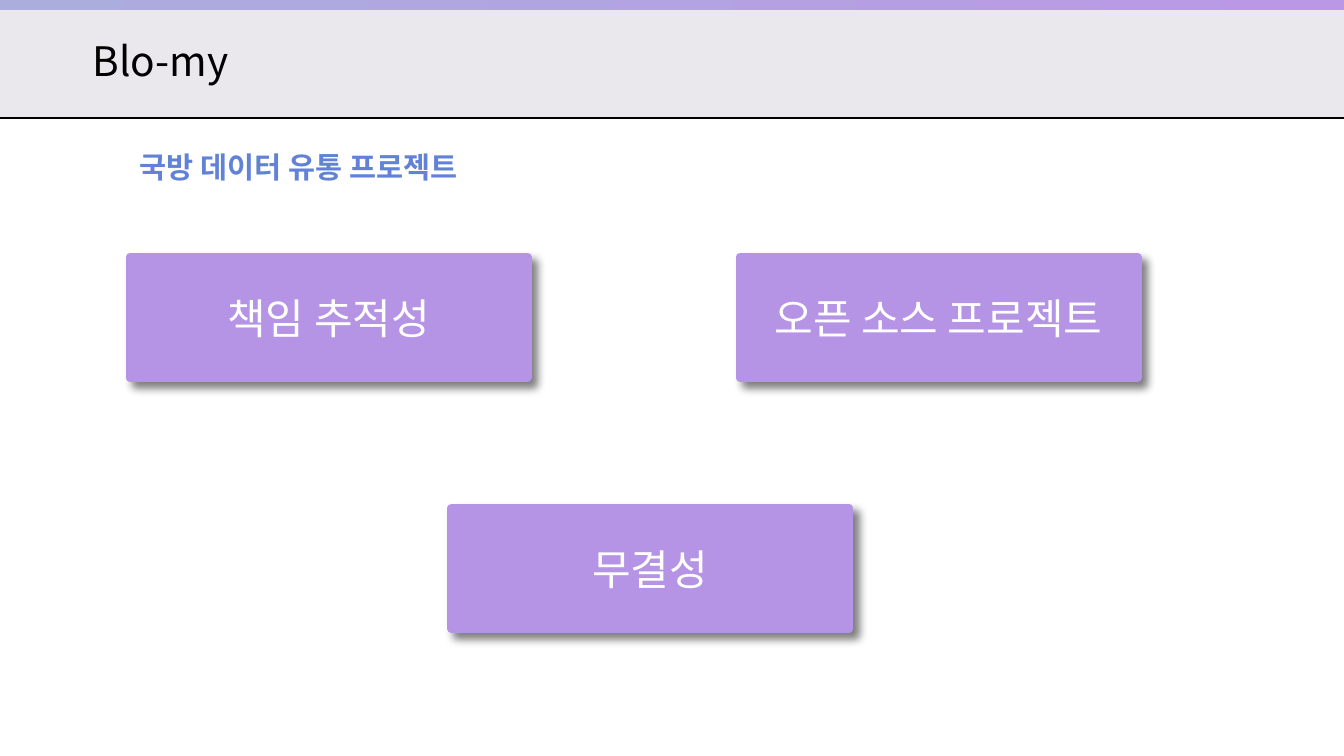
from dataclasses import dataclass

from lxml import etree
from pptx import Presentation
from pptx.dml.color import RGBColor
from pptx.enum.shapes import MSO_CONNECTOR, MSO_SHAPE
from pptx.enum.text import MSO_ANCHOR, PP_ALIGN
from pptx.oxml.ns import qn
from pptx.util import Inches, Pt

RECT, ROUNDED = MSO_SHAPE.RECTANGLE, MSO_SHAPE.ROUNDED_RECTANGLE
STRAIGHT = MSO_CONNECTOR.STRAIGHT
TOP, MIDDLE = MSO_ANCHOR.TOP, MSO_ANCHOR.MIDDLE
LEFT, CENTER = PP_ALIGN.LEFT, PP_ALIGN.CENTER

# Content: each feature has its left edge and its row
TITLE = "Blo-my"
SUBTITLE = "국방 데이터 유통 프로젝트"
FEATURES = [
    ("책임 추적성", 1.29, 0),
    ("무결성", 4.48, 1),
    ("오픈 소스 프로젝트", 7.34, 0),
]


@dataclass(frozen=True)
class Theme:
    band: str = "EAE7ED"
    stripe: tuple = ("ABADDD", "BB98E6")
    card: str = "B594E5"
    accent: str = "6182D6"
    black: str = "000000"
    white: str = "FFFFFF"
    title_font: str = "Noto Sans CJK KR"
    subtitle_font: str = "Calibri"
    card_font: str = "Montserrat"
    korean_font: str = "Noto Sans CJK KR"
    title_size: int = 29
    subtitle_size: int = 21
    card_size: int = 30


THEME = Theme()

# Layout in inches
SLIDE_W, SLIDE_H = 13.33, 7.5
BAND_H, STRIPE_H = 1.17, 0.1
CARD_W, CARD_H = 3.94, 1.2
FIRST_ROW, ROW_STEP = 2.55, 2.49


def add_block(slide, kind, left, top, width, height, color, line_width=None):
    block = slide.shapes.add_shape(
        kind, Inches(left), Inches(top), Inches(width), Inches(height))
    block.shadow.inherit = False
    block.fill.solid()
    block.fill.fore_color.rgb = RGBColor.from_string(color)
    if line_width:
        block.line.color.rgb = RGBColor.from_string(color)
        block.line.width = Pt(line_width)
    else:
        block.line.fill.background()
    return block


def write(shape, text, font, size, color, bold=False, align=LEFT, anchor=TOP):
    frame = shape.text_frame
    frame.word_wrap = True
    frame.vertical_anchor = anchor
    frame.text = text
    paragraph = frame.paragraphs[0]
    paragraph.alignment = align
    run = paragraph.runs[0]
    run.font.name = font
    run.font.size = Pt(size)
    run.font.bold = bold
    run.font.color.rgb = RGBColor.from_string(color)
    etree.SubElement(run.font._element, qn("a:ea"), typeface=THEME.korean_font)


def add_label(slide, left, top, width, height, *text_style, bold=False):
    label = slide.shapes.add_textbox(
        Inches(left), Inches(top), Inches(width), Inches(height))
    write(label, *text_style, bold=bold)


def add_card_shadow(card):
    effects = card._element.spPr.find(qn("a:effectLst"))
    shadow = etree.SubElement(
        effects, qn("a:outerShdw"), blurRad=str(Pt(6)), dist=str(Pt(6)),
        dir=str(45 * 60000), algn="tl", rotWithShape="0")
    color = etree.SubElement(shadow, qn("a:srgbClr"), val=THEME.black)
    etree.SubElement(color, qn("a:alpha"), val="50000")


def add_header(slide):
    add_block(slide, RECT, 0, 0, SLIDE_W, BAND_H, THEME.band, 1.5)
    rule = slide.shapes.add_connector(
        STRAIGHT, 0, Inches(BAND_H), Inches(SLIDE_W), Inches(BAND_H))
    rule.line.color.rgb = RGBColor.from_string(THEME.black)
    rule.line.width = Pt(1)
    etree.SubElement(rule._element.spPr, qn("a:effectLst"))

    stripe = add_block(slide, RECT, 0, 0, SLIDE_W, STRIPE_H, THEME.stripe[0])
    stripe.fill.gradient()
    stripe.fill.gradient_angle = 0
    for stop, position, color in zip(stripe.fill.gradient_stops, (0, 1), THEME.stripe):
        stop.position = position
        stop.color.rgb = RGBColor.from_string(color)


def add_card(slide, feature, left, row):
    card = add_block(slide, ROUNDED, left, FIRST_ROW + row * ROW_STEP,
                     CARD_W, CARD_H, THEME.card, 6)
    card.adjustments[0] = 0
    # Rounded joins of the thick outline soften the corners
    etree.SubElement(card.line._get_or_add_ln(), qn("a:round"))
    add_card_shadow(card)
    write(card, feature, THEME.card_font, THEME.card_size, THEME.white,
          align=CENTER, anchor=MIDDLE)


def main():
    prs = Presentation()
    prs.slide_width, prs.slide_height = Inches(SLIDE_W), Inches(SLIDE_H)
    slide = prs.slides.add_slide(prs.slide_layouts[6])

    # Header
    add_header(slide)
    add_label(slide, 0.82, 0.31, 4.58, 0.58,
              TITLE, THEME.title_font, THEME.title_size, THEME.black)

    # Feature cards
    for feature, left, row in FEATURES:
        add_card(slide, feature, left, row)

    # Subtitle
    add_label(slide, 1.29, 1.43, 6.94, 0.45, SUBTITLE, THEME.subtitle_font,
              THEME.subtitle_size, THEME.accent, bold=True)

    prs.save("out.pptx")


if __name__ == "__main__":
    main()
